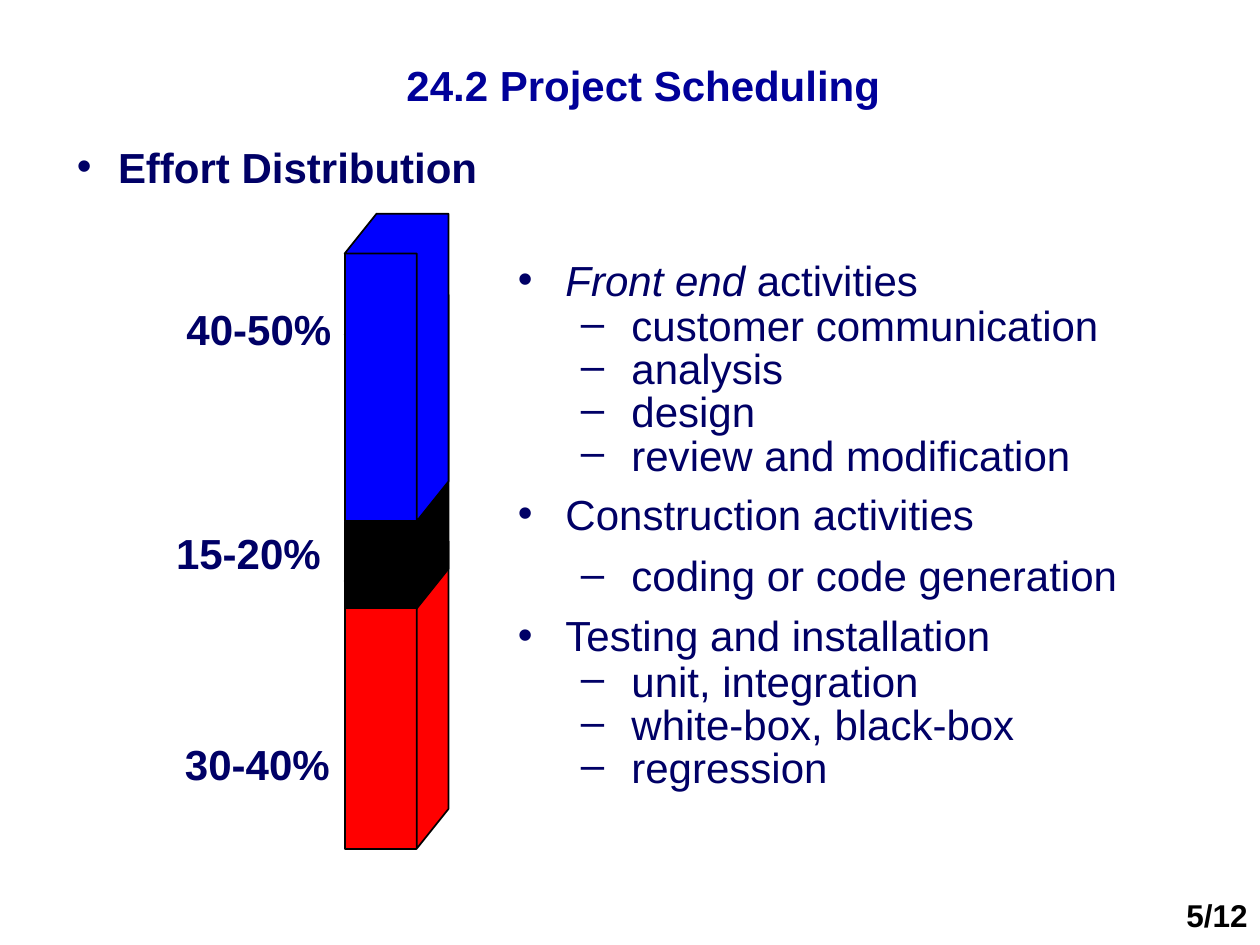
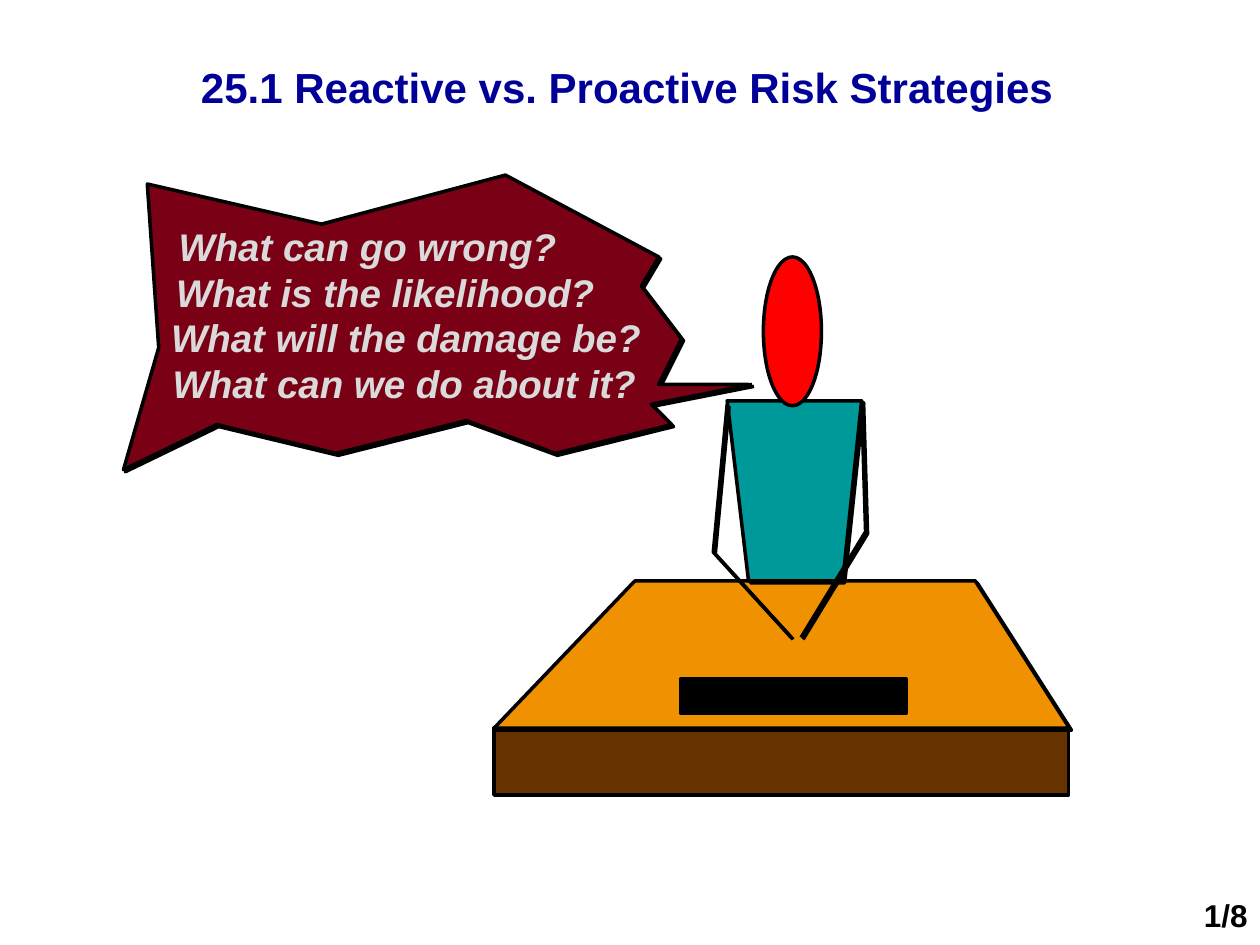
"""Build two slides on project scheduling and risk strategies."""
from dataclasses import dataclass
from typing import Optional

import pptx
import pptx.dml.color
import pptx.enum.shapes
import pptx.enum.text
import pptx.oxml.ns
import pptx.shapes.base
import pptx.slide
import pptx.util
from lxml import etree

Cm = pptx.util.Cm
Pt = pptx.util.Pt
RGBColor = pptx.dml.color.RGBColor
MSO_SHAPE = pptx.enum.shapes.MSO_SHAPE
PP_ALIGN = pptx.enum.text.PP_ALIGN
qn = pptx.oxml.ns.qn

FONT = "Arial"
TITLE_BLUE = RGBColor(0x00, 0x00, 0x99)
NAVY = RGBColor(0x00, 0x00, 0x66)
BLACK = RGBColor(0x00, 0x00, 0x00)
RED = RGBColor(0xFF, 0x00, 0x00)
BLUE = RGBColor(0x00, 0x00, 0xFF)
MAROON = RGBColor(0x79, 0x00, 0x15)
BROWN = RGBColor(0x66, 0x33, 0x00)
ORANGE = RGBColor(0xEF, 0x91, 0x00)
TEAL = RGBColor(0x00, 0x99, 0x99)
PALE_GREY = RGBColor(0xDA, 0xDA, 0xDA)

Point = tuple[float, float]
Box = tuple[float, float, float, float]


@dataclass(frozen=True)
class Style:
    """Character formatting of a run."""
    size: float
    color: RGBColor
    bold: bool = False
    italic: bool = False


TITLE = Style(24, TITLE_BLUE, bold=True)
PAGE = Style(18, BLACK, bold=True)
HEADING = Style(24, NAVY, bold=True)
BODY = Style(24, NAVY)
BODY_ITALIC = Style(24, NAVY, italic=True)
SPEECH = Style(22, PALE_GREY, bold=True, italic=True)


@dataclass(frozen=True)
class Label:
    """A single unwrapped line of text."""
    text: str
    box: Box


@dataclass(frozen=True)
class Activity:
    """A bulleted line, with an optional italic beginning."""
    text: str
    level: int = 0
    tight: bool = False
    lead: str = ""


@dataclass(frozen=True)
class Segment:
    """A block of the effort column, drawn with depth."""
    top: float
    height: float
    color: RGBColor


@dataclass(frozen=True)
class Outline:
    """A hand-drawn outline of the desk scene."""
    points: tuple[Point, ...]
    fill: Optional[RGBColor] = None
    closed: bool = True


@dataclass(frozen=True)
class Block:
    """A preset shape of the desk scene."""
    kind: MSO_SHAPE
    box: Box
    fill: RGBColor


COLUMN_LEFT, COLUMN_WIDTH = 6.95, 1.45
DEPTH_X, DEPTH_Y = 0.64, 0.8
SEGMENTS = (
    Segment(11.71, 5.4, RED),
    Segment(6.74, 5.53, BLACK),
    Segment(5.11, 5.4, BLUE),
)
SHARES = (
    Label("40-50%", (3.51, 6.1, 3.43, 1.17)),
    Label("30-40%", (3.48, 14.88, 3.43, 1.17)),
    Label("15-20%", (3.3, 10.62, 3.43, 1.17)),
)
ACTIVITIES = (
    Activity(" activities", lead="Front end"),
    Activity("customer communication", 1, True),
    Activity("analysis", 1, True),
    Activity("design", 1, True),
    Activity("review and modification", 1, True),
    Activity("Construction activities"),
    Activity("coding or code generation", 1),
    Activity("Testing and installation"),
    Activity("unit, integration", 1, True),
    Activity("white-box, black-box", 1, True),
    Activity("regression", 1, True),
)
LEVELS = (("•", 0.96, -0.96), ("–", 2.29, -1.02))

ECHO = 0.04
SCENE = (
    Outline(((15.16, 7.75), (13.13, 8.15), (13.54, 8.56), (11.2, 9.14),
             (9.4, 8.48), (6.78, 9.14), (4.37, 8.56), (2.49, 9.47),
             (3.2, 7.01), (2.97, 3.71), (6.48, 4.52), (10.19, 3.53),
             (13.28, 5.18), (12.93, 5.77), (13.74, 6.83), (13.28, 7.75),
             (15.09, 7.75)), MAROON, closed=False),
    Block(MSO_SHAPE.RECTANGLE, (9.96, 14.68, 11.58, 1.35), BROWN),
    Outline(((9.96, 14.68), (12.8, 11.71), (19.66, 11.71), (21.56, 14.68)),
            ORANGE),
    Outline(((15.09, 11.71), (14.66, 8.08), (17.37, 8.08), (16.99, 11.71)),
            TEAL),
    Outline(((14.66, 8.15), (14.38, 11.13), (15.95, 12.85)), closed=False),
    Outline(((17.37, 8.08), (17.45, 10.72), (16.15, 12.85)), closed=False),
    Block(MSO_SHAPE.OVAL, (15.39, 5.18, 1.17, 3.0), RED),
    Block(MSO_SHAPE.RECTANGLE, (13.72, 13.69, 4.55, 0.69), BLACK),
)
QUESTION_TOP, QUESTION_STEP = 4.37, 0.92
QUESTIONS = (
    ("What can go wrong?", 3.35, 8.13),
    ("What is the likelihood?", 3.3, 8.94),
    ("What will the damage be?", 3.2, 9.98),
    ("What can we do about it?", 3.23, 9.86),
)


def format_run(r, style: Style) -> None:
    """Apply a style to one run."""
    r.font.name = FONT
    r.font.size = Pt(style.size)
    r.font.color.rgb = style.color
    r.font.bold = style.bold
    r.font.italic = style.italic


def add_text(s: pptx.slide.Slide, text: str, box: Box, style: Style,
             wrap: bool = True):
    """Add a text box and return its text frame."""
    tf = s.shapes.add_textbox(*map(Cm, box)).text_frame
    tf.word_wrap = wrap
    tf.text = text
    for r in tf.paragraphs[0].runs:
        format_run(r, style)
    return tf


def set_bullet(p, mark: str, margin: float, indent: float) -> None:
    """Give a paragraph a coloured bullet and a hanging indent."""
    pPr = p._p.get_or_add_pPr()
    pPr.set("marL", str(Cm(margin)))
    pPr.set("indent", str(Cm(indent)))
    color = etree.SubElement(pPr, qn("a:buClr"))
    etree.SubElement(color, qn("a:srgbClr"), val=str(NAVY))
    etree.SubElement(pPr, qn("a:buFont"), typeface=FONT)
    etree.SubElement(pPr, qn("a:buChar"), char=mark)


def paint(sp: pptx.shapes.base.BaseShape, fill: Optional[RGBColor],
          width: float) -> None:
    """Set fill and black line, without a shadow."""
    sp.shadow.inherit = False
    if fill is None:
        sp.fill.background()
    else:
        sp.fill.solid()
        sp.fill.fore_color.rgb = fill
    sp.line.color.rgb = BLACK
    sp.line.width = Pt(width)


def draw_block(s: pptx.slide.Slide, block: Block, width: float) -> None:
    """Draw a preset shape."""
    sp = s.shapes.add_shape(block.kind, *map(Cm, block.box))
    paint(sp, block.fill, width)


def draw_outline(s: pptx.slide.Slide, outline: Outline, width: float,
                 offset: float = 0) -> None:
    """Draw a freeform, moved right and down by the offset."""
    start, *rest = [(Cm(x + offset), Cm(y + offset)) for x, y in outline.points]
    builder = s.shapes.build_freeform(*start, scale=1.0)
    builder.add_line_segments(rest, close=outline.closed)
    paint(builder.convert_to_shape(), outline.fill, width)


def draw_segment(s: pptx.slide.Slide, segment: Segment) -> None:
    """Draw the front of a column block, then its top and side."""
    left, right = COLUMN_LEFT, COLUMN_LEFT + COLUMN_WIDTH
    top, bottom = segment.top, segment.top + segment.height
    front = (left, top, COLUMN_WIDTH, segment.height)
    draw_block(s, Block(MSO_SHAPE.RECTANGLE, front, segment.color), 1)
    draw_outline(s, Outline((
        (right, bottom), (right + DEPTH_X, bottom - DEPTH_Y),
        (right + DEPTH_X, top - DEPTH_Y), (left + DEPTH_X, top - DEPTH_Y),
        (left, top), (right, top)), segment.color), 1)


def new_slide(prs, title: str, box: Box, page: str) -> pptx.slide.Slide:
    """Add a slide with its title and page number."""
    s = prs.slides.add_slide(prs.slide_layouts[5])
    sp = s.shapes.title
    sp.left, sp.top, sp.width, sp.height = map(Cm, box)
    tf = sp.text_frame
    tf.text = title
    tf.word_wrap = True
    tf.auto_size = pptx.enum.text.MSO_AUTO_SIZE.NONE
    tf.vertical_anchor = pptx.enum.text.MSO_ANCHOR.MIDDLE
    tf.paragraphs[0].alignment = PP_ALIGN.CENTER
    format_run(tf.paragraphs[0].runs[0], TITLE)
    tf = add_text(s, page, (23.11, 17.93, 2.29, 1.02), PAGE)
    tf.paragraphs[0].alignment = PP_ALIGN.RIGHT
    return s


def add_activities(s: pptx.slide.Slide) -> None:
    """Add the bulleted list of activities."""
    tf = add_text(s, "", (10.19, 5.0, 13.11, 12.52), BODY)
    for i, activity in enumerate(ACTIVITIES):
        p = tf.add_paragraph() if i else tf.paragraphs[0]
        set_bullet(p, *LEVELS[activity.level])
        p.level = activity.level
        if i:
            p.space_before = Pt(6)
        if activity.tight:
            p.line_spacing = 0.65
        for text, style in ((activity.lead, BODY_ITALIC), (activity.text, BODY)):
            if text:
                r = p.add_run()
                r.text = text
                format_run(r, style)


def build_effort_slide(prs) -> None:
    """Show how effort is distributed over a project."""
    s = new_slide(prs, "24.2 Project Scheduling", (6.91, 0.53, 12.12, 2.36),
                  "5/12")
    add_activities(s)
    for segment in SEGMENTS:
        draw_segment(s, segment)
    for share in SHARES:
        tf = add_text(s, share.text, share.box, HEADING, wrap=False)
        tf.paragraphs[0].line_spacing = 0.9
    tf = add_text(s, "Effort Distribution", (1.3, 2.72, 10.01, 1.27), HEADING)
    set_bullet(tf.paragraphs[0], "•", 0.83, -0.83)


def build_risk_slide(prs) -> None:
    """Show a person at a desk asking about risks."""
    s = new_slide(prs, "25.1 Reactive vs. Proactive Risk Strategies",
                  (2.9, 0.71, 19.48, 2.06), "1/8")
    for item in SCENE:
        if isinstance(item, Block):
            draw_block(s, item, 2)
        else:
            draw_outline(s, Outline(item.points, closed=item.closed), 2, ECHO)
            draw_outline(s, item, 2)
    for i, (text, left, width) in enumerate(QUESTIONS):
        box = (left, QUESTION_TOP + i * QUESTION_STEP, width, 1.17)
        add_text(s, text, box, SPEECH, wrap=False)


def main() -> None:
    """Build and save the presentation."""
    prs = pptx.Presentation()
    prs.slide_width, prs.slide_height = Cm(25.4), Cm(19.05)
    build_effort_slide(prs)
    build_risk_slide(prs)
    prs.save("out.pptx")


if __name__ == "__main__":
    main()
